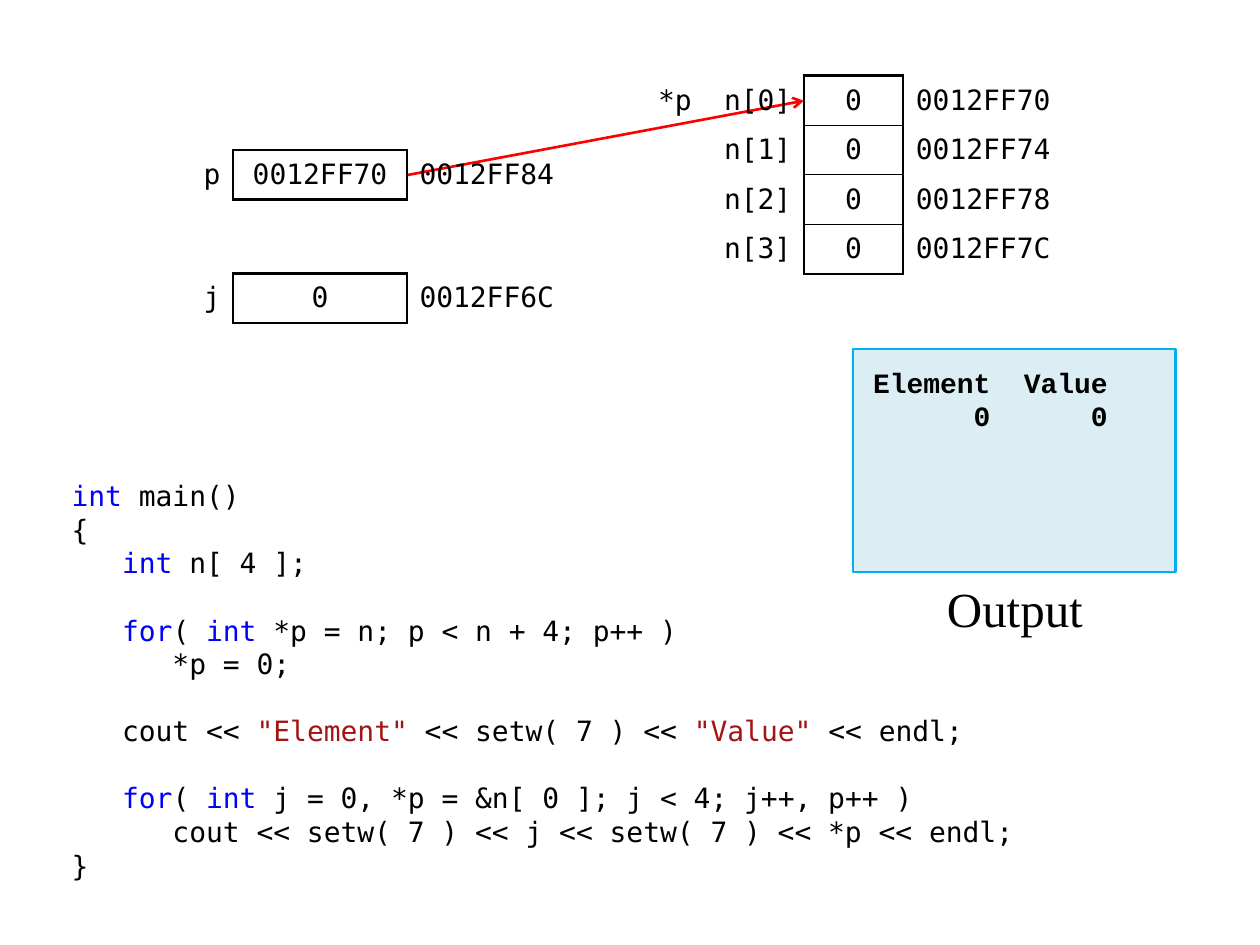
"""Build a slide showing how a pointer walks through an array in C++."""
from lxml import etree
from pptx import Presentation
from pptx import util as u
from pptx.dml import color
from pptx.enum import shapes, text
from pptx.oxml import ns

COLORS = {
    "text": "000000",
    "keyword": "0000FF",
    "string": "A31515",
    "arrow": "FF0000",
    "output_fill": "DBEEF4",
    "output_line": "00B0F0",
}
MONO = "DejaVu Sans Mono"
KEYWORDS = ("int", "for")
LINE_PITCH = u.Pt(19.2)
ROW_HEIGHT = 0.394
THICK, THIN = 1.5, 0.75
LEFT, CENTER, RIGHT = text.PP_ALIGN.LEFT, text.PP_ALIGN.CENTER, text.PP_ALIGN.RIGHT

CODE_BLOCKS = [
    [
        ["int", " main()"],
        ["{"],
        ["   ", "int", " n[ 4 ];"],
    ],
    [
        ["   ", "for", "( ", "int", " *p = n; p < n + 4; p++ )"],
        ["      *p = 0;"],
    ],
    [
        ["   cout << ", '"Element"', " << setw( 7 ) << ", '"Value"', " << endl;"],
    ],
    [
        ["   ", "for", "( ", "int", " j = 0, *p = &n[ 0 ]; j < 4; j++, p++ )"],
        ["      cout << setw( 7 ) << j << setw( 7 ) << *p << endl;"],
        ["}"],
    ],
]
OUTPUT_LINES = ["Element  Value", "      0      0"]
ADDRESSES = ["0012FF70", "0012FF74", "0012FF78", "0012FF7C"]


def rgb(name):
    return color.RGBColor.from_string(COLORS[name])


def add_run(paragraph, words, size=16, font=MONO, tint="text", bold=False):
    run = paragraph.add_run()
    run.text = words
    run.font.size = u.Pt(size)
    run.font.name = font
    run.font.bold = bold
    run.font.color.rgb = rgb(tint)


def next_paragraph(frame, is_first):
    return frame.paragraphs[0] if is_first else frame.add_paragraph()


def token_color(token):
    if token in KEYWORDS:
        return "keyword"
    return "string" if token.startswith('"') else "text"


def add_code(slide):
    listing = slide.shapes.add_textbox(
        u.Inches(0.47), u.Inches(3.75), u.Inches(7.68), u.Inches(3.35))
    frame = listing.text_frame
    frame.word_wrap = True
    for block_number, block in enumerate(CODE_BLOCKS):
        for line_number, tokens in enumerate(block):
            paragraph = next_paragraph(frame, block_number == line_number == 0)
            paragraph.line_spacing = LINE_PITCH
            if block_number and line_number == 0:
                paragraph.space_before = LINE_PITCH
            for token in tokens:
                add_run(paragraph, token, tint=token_color(token))


def add_output(slide):
    console = slide.shapes.add_shape(
        shapes.MSO_SHAPE.RECTANGLE,
        u.Inches(6.77), u.Inches(2.77), u.Inches(2.56), u.Inches(1.77))
    console.shadow.inherit = False
    console.fill.solid()
    console.fill.fore_color.rgb = rgb("output_fill")
    console.line.color.rgb = rgb("output_line")
    console.line.width = u.Pt(THICK)
    frame = console.text_frame
    frame.word_wrap = True
    frame.vertical_anchor = text.MSO_ANCHOR.TOP
    frame.margin_left, frame.margin_top = u.Inches(0.16), u.Inches(0.13)
    for number, line in enumerate(OUTPUT_LINES):
        paragraph = next_paragraph(frame, number == 0)
        paragraph.alignment = LEFT
        paragraph.line_spacing = LINE_PITCH
        add_run(paragraph, line, font="Courier New", bold=True)

    caption = slide.shapes.add_textbox(
        u.Inches(7.17), u.Inches(4.54), u.Inches(1.77), u.Inches(0.59))
    caption.text_frame.word_wrap = True
    paragraph = caption.text_frame.paragraphs[0]
    paragraph.alignment = CENTER
    add_run(paragraph, "Output", size=28, font="Times New Roman")


def add_pointer_arrow(slide):
    arrow = slide.shapes.add_connector(
        shapes.MSO_CONNECTOR.STRAIGHT,
        u.Inches(3.23), u.Inches(1.39), u.Inches(6.38), u.Inches(0.8))
    arrow.line.color.rgb = rgb("arrow")
    arrow.line.width = u.Pt(THICK)
    line = arrow.line._get_or_add_ln()
    etree.SubElement(line, ns.qn("a:tailEnd"), type="arrow")
    etree.SubElement(arrow._element.spPr, ns.qn("a:effectLst"))


def set_borders(cell, widths):
    properties = cell._tc.get_or_add_tcPr()
    for side in "LRTB":
        width = widths.get(side, 0)
        border = etree.SubElement(
            properties, ns.qn(f"a:ln{side}"), w=str(u.Pt(width)))
        if width:
            fill = etree.SubElement(border, ns.qn("a:solidFill"))
            etree.SubElement(fill, ns.qn("a:srgbClr"), val=COLORS["text"])
        else:
            etree.SubElement(border, ns.qn("a:noFill"))


def cell_borders(column, boxed, row, last_row):
    if column == boxed:
        return {"L": THICK, "R": THICK,
                "T": THIN if row else THICK,
                "B": THICK if row == last_row else THIN}
    return {boxed - 1: {"R": THICK}, boxed + 1: {"L": THICK}}.get(column, {})


def add_memory(slide, left, top, widths, rows, margin_y):
    """Draw names, boxed values and addresses; the value column is next to last."""
    grid = slide.shapes.add_table(
        len(rows), len(widths), u.Inches(left), u.Inches(top),
        u.Inches(sum(widths)), u.Inches(ROW_HEIGHT * len(rows))).table
    grid.first_row = grid.horz_banding = False
    boxed = len(widths) - 2
    for column, width in zip(grid.columns, widths):
        column.width = u.Inches(width)
    for row, values in enumerate(rows):
        grid.rows[row].height = u.Inches(ROW_HEIGHT)
        for column, value in enumerate(values):
            cell = grid.cell(row, column)
            set_borders(cell, cell_borders(column, boxed, row, len(rows) - 1))
            cell.fill.background()
            cell.vertical_anchor = text.MSO_ANCHOR.MIDDLE
            cell.margin_left = cell.margin_right = u.Inches(0.1)
            if column == boxed:
                cell.margin_left = cell.margin_right = u.Inches(0.08)
            cell.margin_top = cell.margin_bottom = u.Inches(margin_y)
            if value:
                paragraph = cell.text_frame.paragraphs[0]
                paragraph.alignment = (
                    RIGHT if column < boxed else CENTER if column == boxed else LEFT)
                add_run(paragraph, value)


def main():
    deck = Presentation()
    deck.slide_width, deck.slide_height = u.Inches(10), u.Inches(7.5)
    slide = deck.slides.add_slide(deck.slide_layouts.get_by_name("Blank"))
    add_output(slide)
    add_code(slide)
    add_pointer_arrow(slide)
    array_rows = [["" if index else "*p", f"n[{index}]", "0", address]
                  for index, address in enumerate(ADDRESSES)]
    add_memory(slide, 5, 0.6, [0.59, 0.79, 0.79, 1.38], array_rows, 0.04)
    variables = [["p", "0012FF70", "0012FF84"], ["j", "0", "0012FF6C"]]
    for top, variable in zip((1.19, 2.17), variables):
        add_memory(slide, 1.46, top, [0.39, 1.38, 1.38], [variable], 0)
    deck.save("out.pptx")


if __name__ == "__main__":
    main()
